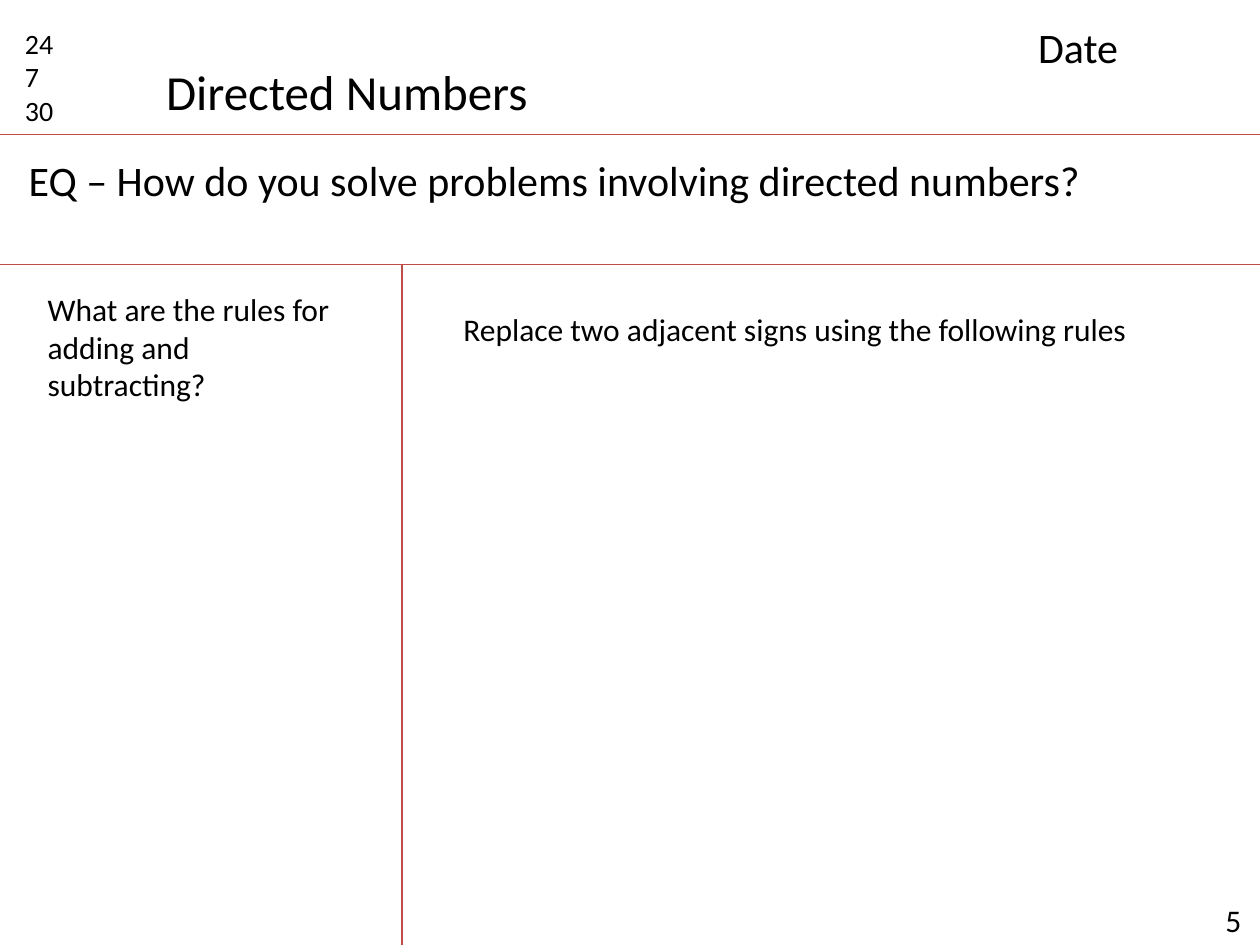
from lxml import etree
from pptx import Presentation
from pptx.dml.color import RGBColor
from pptx.enum.shapes import MSO_CONNECTOR
from pptx.enum.text import MSO_AUTO_SIZE
from pptx.oxml.ns import qn
from pptx.util import Inches, Pt

STRAIGHT = MSO_CONNECTOR.STRAIGHT
GROW = MSO_AUTO_SIZE.SHAPE_TO_FIT_TEXT


def color(code):
    return RGBColor.from_string(code)


def add_text(left, top, width, height, size, lines, wrap=True):
    box = slide.shapes.add_textbox(
        Inches(left), Inches(top), Inches(width), Inches(height))
    frame = box.text_frame
    frame.word_wrap = wrap
    frame.auto_size = GROW
    for i, line in enumerate(lines):
        para = frame.paragraphs[0] if i == 0 else frame.add_paragraph()
        run = para.add_run()
        run.text = line
        run.font.name = "Calibri"
        run.font.size = Pt(size)
        run.font.color.rgb = color("000000")


deck = Presentation()
deck.slide_width, deck.slide_height = Inches(10), Inches(7.5)
slide = deck.slides.add_slide(deck.slide_layouts[6])

# Rules: two across the page, one between the columns
head, body, split = 1.07, 2.1, 3.19
for x1, y1, x2, y2 in [
    (0, head, 10, head),
    (0, body, 10, body),
    (split, body, split, 7.69),
]:
    rule = slide.shapes.add_connector(
        STRAIGHT, Inches(x1), Inches(y1), Inches(x2), Inches(y2))
    rule.line.color.rgb = color("BF4C48")
    rule.line.width = Pt(0.75)
    etree.SubElement(rule._element.spPr, qn("a:effectLst"))

# Header
add_text(0.1, 0.16, 0.63, 0.91, 16, ["24", "7", "30"])
add_text(1.22, 0.44, 3.1, 0.57, 28, ["Directed Numbers"], wrap=False)
add_text(8.14, 0.12, 1.73, 0.5, 24, ["Date"])

# Essential question
add_text(0.13, 1.18, 9.43, 0.5, 24,
         ["EQ – How do you solve problems involving directed numbers?"])

# Cue column and notes column
add_text(0.28, 2.25, 2.5, 1.01, 18,
         ["What are the rules for adding and subtracting?"])
add_text(3.58, 2.41, 5.53, 0.4, 18,
         ["Replace two adjacent signs using the following rules"], wrap=False)

# Page number
add_text(9.57, 7.1, 0.6, 0.4, 18, [" 5"])

deck.save("out.pptx")
